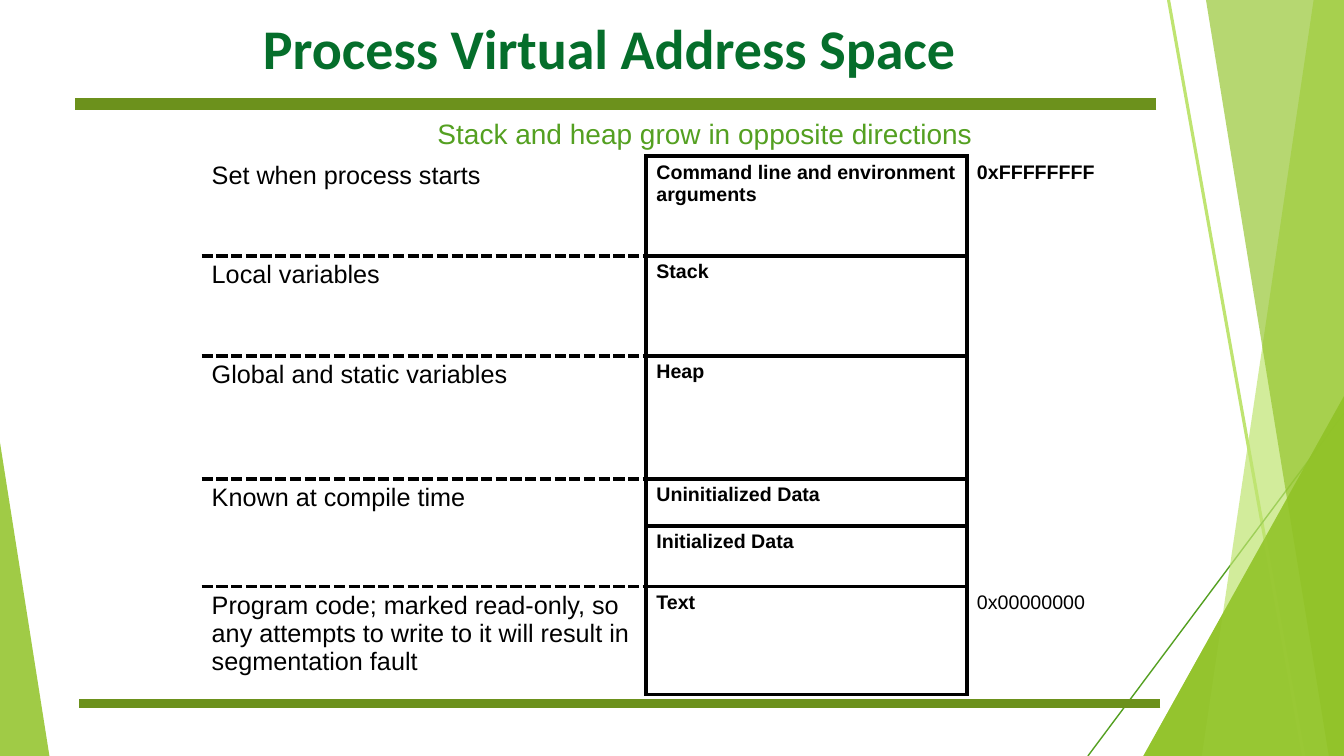
from lxml import etree
from pptx import Presentation
from pptx.dml.color import RGBColor
from pptx.enum import shapes, text
from pptx.oxml import ns
from pptx.util import Inches, Pt

COLORS = {
    "black": "000000",
    "leaf": "90C226",
    "lime": "BFE471",
    "green": "54A021",
    "olive": "6C911C",
    "title": "056E2B",
}
COLUMN_WIDTHS = [4.41, 3.18, 1.59]
ROW_HEIGHTS = [0.99, 0.99, 1.22, 0.47, 0.6, 1.07]
SEGMENTS = [
    ("Set when process starts", "Command line and environment arguments", "0xFFFFFFFF"),
    ("Local variables", "Stack", ""),
    ("Global and static variables", "Heap", ""),
    ("Known at compile time", "Uninitialized Data", ""),
    ("", "Initialized Data", ""),
    ("Program code; marked read-only, so any attempts to write to it "
     "will result in segmentation fault", "Text", "0x00000000"),
]
DATA_ROWS = (3, 4)


def rgb(color):
    return RGBColor.from_string(COLORS[color])


def write(frame, content, size=18, color="black", bold=False, font="Arial", align=None):
    paragraph = frame.paragraphs[0]
    paragraph.alignment = align
    run = paragraph.add_run()
    run.text = content
    run.font.size = Pt(size)
    run.font.bold = bold
    run.font.name = font
    run.font.color.rgb = rgb(color)


def add_label(slide, box, content, **style):
    frame = slide.shapes.add_textbox(*map(Inches, box)).text_frame
    frame.word_wrap = True
    write(frame, content, **style)
    return frame


def paint(facet, color, opacity):
    facet.shadow.inherit = False
    facet.line.fill.background()
    facet.fill.solid()
    facet.fill.fore_color.rgb = rgb(color)
    tint = facet._element.spPr.find(".//" + ns.qn("a:srgbClr"))
    etree.SubElement(tint, ns.qn("a:alpha"), val=str(opacity * 1000))


def add_triangle(slide, box, apex, opacity):
    triangle = slide.shapes.add_shape(
        shapes.MSO_SHAPE.ISOSCELES_TRIANGLE, *map(Inches, box))
    triangle.adjustments[0] = apex
    paint(triangle, "leaf", opacity)


def add_facet(slide, points, color, opacity):
    corners = [(Inches(x), Inches(y)) for x, y in points]
    outline = slide.shapes.build_freeform(*corners[0])
    outline.add_line_segments(corners[1:], close=True)
    paint(outline.convert_to_shape(), color, opacity)


def add_rule(slide, start, end, color, width):
    rule = slide.shapes.add_connector(
        shapes.MSO_CONNECTOR.STRAIGHT, *map(Inches, start + end))
    rule.line.color.rgb = rgb(color)
    rule.line.width = Pt(width)
    etree.SubElement(rule._element.spPr, ns.qn("a:effectLst"))


def set_borders(cell, borders):
    properties = cell._tc.get_or_add_tcPr()
    for side in "LRTB":
        dash = borders.get(side)
        edge = etree.SubElement(properties, ns.qn("a:ln" + side), w=str(Pt(3)))
        if dash is None:
            etree.SubElement(edge, ns.qn("a:noFill"))
            continue
        fill = etree.SubElement(edge, ns.qn("a:solidFill"))
        etree.SubElement(fill, ns.qn("a:srgbClr"), val=COLORS["black"])
        etree.SubElement(edge, ns.qn("a:prstDash"), val=dash)


def borders_for(row, column):
    if column == 1:
        return dict.fromkeys("LRTB", "solid")
    if column == 2:
        return {"L": "solid"}
    borders = {"R": "solid"}
    if row not in (0, DATA_ROWS[1]):
        borders["T"] = "sysDash"
    if row not in (DATA_ROWS[0], len(SEGMENTS) - 1):
        borders["B"] = "sysDash"
    return borders


def add_memory_map(slide):
    memory_map = slide.shapes.add_table(
        len(ROW_HEIGHTS), len(COLUMN_WIDTHS), Inches(2), Inches(1.55),
        Inches(sum(COLUMN_WIDTHS)), Inches(sum(ROW_HEIGHTS))).table
    memory_map.first_row = False
    memory_map.horz_banding = False
    for column, width in zip(memory_map.columns, COLUMN_WIDTHS):
        column.width = Inches(width)
    for row, height in zip(memory_map.rows, ROW_HEIGHTS):
        row.height = Inches(height)
    for column in (0, 2):
        memory_map.cell(DATA_ROWS[0], column).merge(memory_map.cell(DATA_ROWS[1], column))
    for row, segment in enumerate(SEGMENTS):
        for column, content in enumerate(segment):
            cell = memory_map.cell(row, column)
            set_borders(cell, borders_for(row, column))
            cell.fill.background()
            if content:
                write(cell.text_frame, content, size=18 if column == 0 else 14,
                      bold=column == 1 or (row == 0 and column == 2))


def add_backdrop(slide):
    corner = (11.34, 3.93, 1.99, 3.57)
    add_triangle(slide, corner, 1, 80)
    add_triangle(slide, (0, 4.39, 0.49, 3.11), 0, 85)
    add_rule(slide, (11.59, 0), (12.93, 7.5), "lime", 2.25)
    add_rule(slide, (13.33, 4.1), (10.79, 7.5), "green", 1)
    add_facet(slide, [(13.03, -0.01), (13.33, -0.01), (13.33, 7.5), (11.92, 7.5)],
              "lime", 70)
    add_facet(slide, [(11.96, -0.01), (13.33, -0.01), (13.33, 7.5), (13.18, 7.5)],
              "leaf", 65)
    add_triangle(slide, corner, 1, 80)
    add_rule(slide, (11.47, 1.03), (0.74, 1.03), "olive", 8.75)
    add_rule(slide, (11.51, 6.98), (0.78, 6.98), "olive", 6)


def main():
    deck = Presentation()
    deck.slide_width, deck.slide_height = Inches(13.33), Inches(7.5)
    slide = deck.slides.add_slide(deck.slide_layouts[6])
    add_backdrop(slide)
    title = add_label(slide, (0.74, 0.03, 10.73, 1.01), "Process Virtual Address Space ",
                      size=40, color="title", bold=True, font="Calibri",
                      align=text.PP_ALIGN.CENTER)
    title.margin_top = title.margin_bottom = Inches(0.1)
    add_memory_map(slide)
    add_label(slide, (4.24, 1.11, 5.92, 0.44), "Stack and heap grow in opposite directions",
              size=20, color="green")
    deck.save("out.pptx")


if __name__ == "__main__":
    main()
